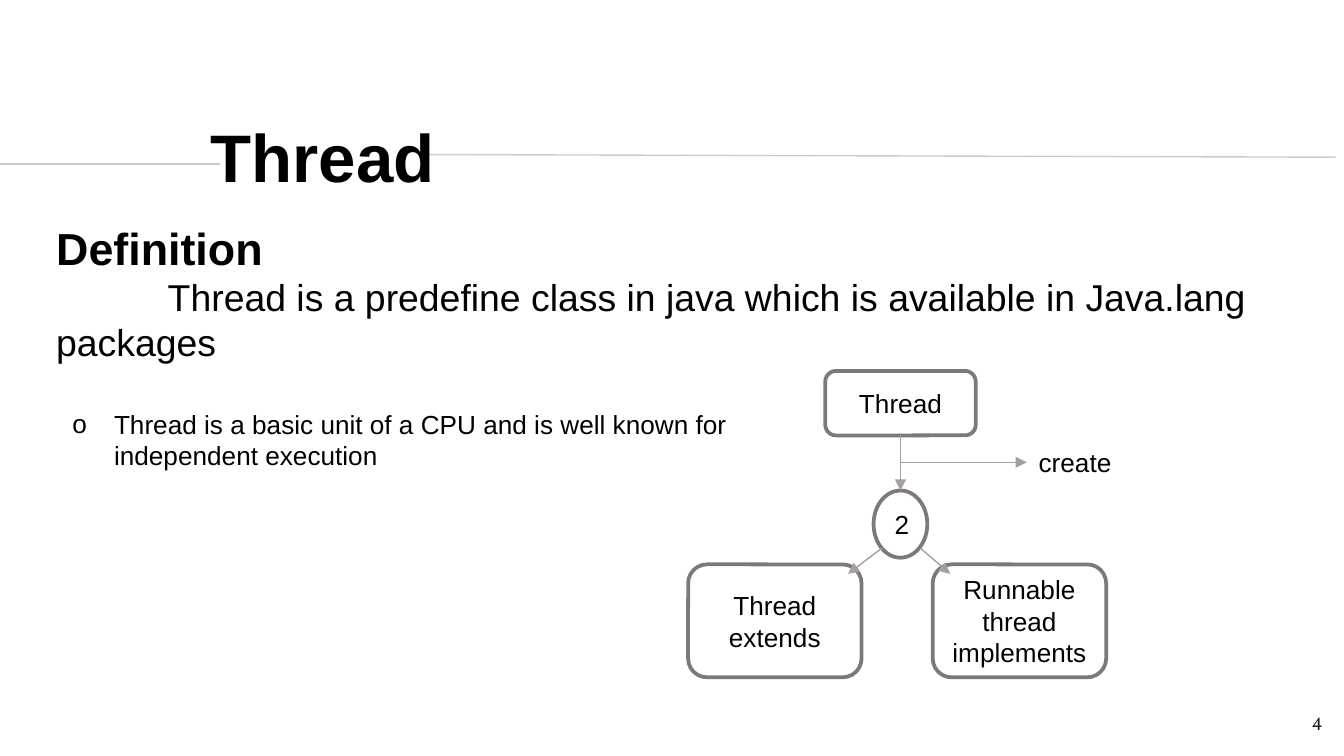
"""Build the Thread definition slide with its class diagram."""
from dataclasses import dataclass
from typing import Any, Optional

from lxml.etree import SubElement
from pptx import Presentation
from pptx.dml.color import RGBColor
from pptx.enum.shapes import MSO_CONNECTOR, MSO_SHAPE
from pptx.enum.text import MSO_ANCHOR, PP_ALIGN
from pptx.oxml.ns import qn
from pptx.util import Inches, Pt


@dataclass(frozen=True)
class Theme:
    ink: str = "000000"
    number: str = "1D1D1B"
    paper: str = "FFFFFF"
    rule: str = "CCCCCC"
    border: str = "7D7979"
    arrow: str = "A59F9F"
    font: str = "Arial"
    serif: str = "Vollkorn"
    title: float = 36
    head: float = 24
    lead: float = 20
    body: float = 14
    small: float = 10
    thin: float = 0.75
    thick: float = 2


@dataclass(frozen=True)
class Para:
    text: str
    size: float
    bold: bool = False
    color: str = Theme.ink
    font: str = Theme.font
    align: PP_ALIGN = PP_ALIGN.LEFT
    margin: float = 0
    indent: float = 0
    bullet: Optional[str] = None


@dataclass(frozen=True)
class Label:
    box: tuple[float, float, float, float]
    paras: tuple[Para, ...]
    inset: float = 0.05
    anchor: MSO_ANCHOR = MSO_ANCHOR.TOP
    wrap: bool = True


@dataclass(frozen=True)
class Node:
    name: str
    box: tuple[float, float, float, float]
    lines: tuple[str, ...]
    form: MSO_SHAPE = MSO_SHAPE.ROUNDED_RECTANGLE


@dataclass(frozen=True)
class Line:
    start: tuple[float, float]
    end: tuple[float, float]
    color: str = Theme.arrow
    head: bool = True
    source: Optional[str] = None
    target: Optional[str] = None


WIDTH = Inches(10)
HEIGHT = WIDTH * 9 // 16
AXIS = 6.7
LOW = 4.2
RULES = (
    Line((0, 1.22), (1.64, 1.22), Theme.rule, False),
    Line((3.16, 1.15), (9.94, 1.17), Theme.rule, False),
)
NODES = (
    Node("extends", (5.12, LOW, 1.29, 0.84), ("Thread", "extends")),
    Node("thread", (AXIS - 0.56, 2.76, 1.12, 0.48), ("Thread",)),
    Node("runnable", (6.94, LOW, 1.29, 0.84), ("Runnable thread implements",)),
    Node("two", (AXIS - 0.2, 3.65, 0.4, 0.5), ("2",), MSO_SHAPE.OVAL),
)
ARROWS = (
    Line((AXIS, 3.24), (AXIS, 3.65), source="thread", target="two"),
    Line((6.56, 4.08), (6.31, 4.27)),
    Line((6.85, 4.08), (7.07, 4.27)),
    Line((AXIS, 3.44), (7.64, 3.44)),
)
LABELS = (
    Label((9.34, 5.19, 0.6, 0.43),
          (Para("4", Theme.small, color=Theme.number, font=Theme.serif,
                align=PP_ALIGN.RIGHT),), 0.1),
    Label((1.47, 0.92, 4.24, 0.48), (Para("Thread", Theme.title, True),),
          0.1, MSO_ANCHOR.MIDDLE),
    Label((7.63, 3.27, 0.74, 0.34), (Para("create", Theme.body),), wrap=False),
    Label((0.32, 1.59, 9.47, 1.18), (
        Para("Definition", Theme.head, True),
        Para("Thread is a predefine class in java which is available in "
             "Java.lang packages", Theme.lead, indent=0.83),
    )),
    Label((0.44, 2.99, 5.41, 0.57),
          (Para("Thread is a basic unit of a CPU and is well known for "
                "independent execution", Theme.body, margin=0.31,
                indent=-0.31, bullet="o"),)),
)


def assign(target: Any, values: dict[str, Any]) -> None:
    for name, value in values.items():
        setattr(target, name, value)


def write(frame: Any, paras: tuple[Para, ...], inset: float,
          anchor: MSO_ANCHOR, wrap: bool = True) -> None:
    assign(frame, {
        "word_wrap": wrap, "vertical_anchor": anchor,
        "margin_left": Inches(0.1), "margin_right": Inches(0.1),
        "margin_top": Inches(inset), "margin_bottom": Inches(inset),
    })
    for rank, para in enumerate(paras):
        block = frame.paragraphs[0] if rank == 0 else frame.add_paragraph()
        block.alignment = para.align
        props = block._p.get_or_add_pPr()
        props.set("marL", str(Inches(para.margin)))
        props.set("indent", str(Inches(para.indent)))
        if para.bullet:
            tint = SubElement(props, qn("a:buClr"))
            SubElement(tint, qn("a:srgbClr"), val=para.color)
            SubElement(props, qn("a:buFont"), typeface=para.font)
            SubElement(props, qn("a:buChar"), char=para.bullet)
        run = block.add_run()
        run.text = para.text
        assign(run.font, {"name": para.font, "size": Pt(para.size),
                          "bold": para.bold})
        run.font.color.rgb = RGBColor.from_string(para.color)


def place(slide: Any, label: Label) -> None:
    area = slide.shapes.add_textbox(*map(Inches, label.box))
    write(area.text_frame, label.paras, label.inset, label.anchor, label.wrap)


def draw(slide: Any, node: Node) -> Any:
    shape = slide.shapes.add_shape(node.form, *map(Inches, node.box))
    shape.shadow.inherit = False
    shape.fill.solid()
    shape.fill.fore_color.rgb = RGBColor.from_string(Theme.paper)
    shape.line.color.rgb = RGBColor.from_string(Theme.border)
    shape.line.width = Pt(Theme.thick)
    paras = tuple(Para(text, Theme.body, align=PP_ALIGN.CENTER)
                  for text in node.lines)
    write(shape.text_frame, paras, 0.05, MSO_ANCHOR.MIDDLE)
    return shape


def link(slide: Any, line: Line, shapes: dict[str, Any]) -> None:
    wire = slide.shapes.add_connector(
        MSO_CONNECTOR.STRAIGHT, *map(Inches, line.start + line.end))
    wire.line.color.rgb = RGBColor.from_string(line.color)
    wire.line.width = Pt(Theme.thin)
    if line.head:
        SubElement(wire.line._get_or_add_ln(), qn("a:tailEnd"), type="triangle")
    SubElement(wire._element.spPr, qn("a:effectLst"))
    if line.source:
        wire.begin_connect(shapes[line.source], 2)
    if line.target:
        wire.end_connect(shapes[line.target], 0)


def main() -> None:
    deck = Presentation()
    assign(deck, {"slide_width": WIDTH, "slide_height": HEIGHT})
    slide = deck.slides.add_slide(deck.slide_layouts[6])
    for rule in RULES:
        link(slide, rule, {})
    shapes = {node.name: draw(slide, node) for node in NODES}
    for arrow in ARROWS:
        link(slide, arrow, shapes)
    for label in LABELS:
        place(slide, label)
    deck.save("out.pptx")


if __name__ == "__main__":
    main()
